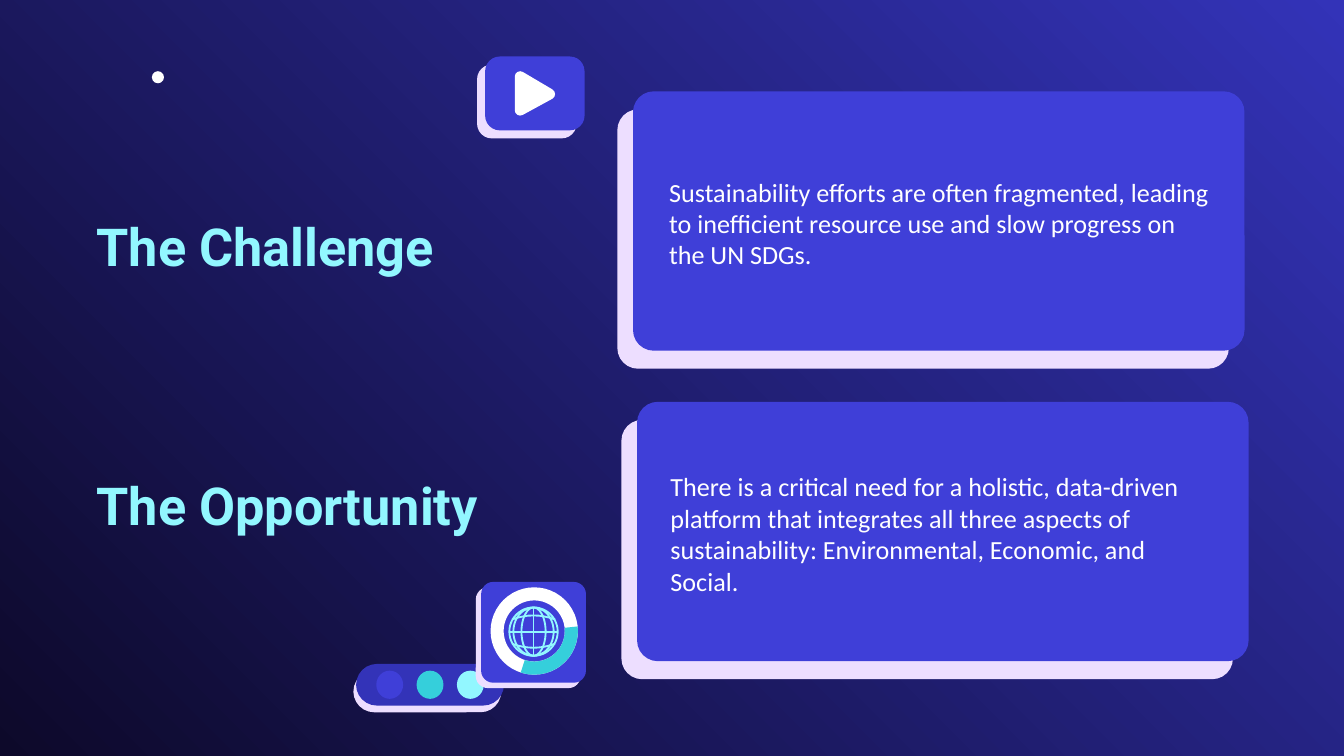
import pptx
import pptx.dml.color
import pptx.enum.shapes
import pptx.enum.text
import pptx.oxml
import pptx.oxml.ns
import pptx.util
from pptx.util import Inches

RGBColor = pptx.dml.color.RGBColor
MSO_SHAPE = pptx.enum.shapes.MSO_SHAPE

NIGHT = RGBColor(0x0D, 0x09, 0x2A)
INDIGO = RGBColor(0x33, 0x33, 0xB8)
VIOLET = RGBColor(0x3F, 0x3F, 0xD8)
LILAC = RGBColor(0xED, 0xDE, 0xFF)
TEAL = RGBColor(0x35, 0xCF, 0xDB)
AQUA = RGBColor(0x92, 0xF7, 0xFF)
WHITE = RGBColor(0xFF, 0xFF, 0xFF)

HEADING = {"name": "Roboto", "size": pptx.util.Pt(28), "bold": True}
BODY = {"name": "Calibri", "size": pptx.util.Pt(14), "bold": False}
FRAME = {
    "word_wrap": True,
    "vertical_anchor": pptx.enum.text.MSO_ANCHOR.MIDDLE,
    "margin_left": Inches(0.1),
    "margin_right": Inches(0.1),
    "margin_top": Inches(0.1),
    "margin_bottom": Inches(0.1),
}


def add_xml(parent, tag, **attributes):
    child = pptx.oxml.parse_xml(f"<a:{tag} {pptx.oxml.ns.nsdecls('a')}/>")
    for key, value in attributes.items():
        child.set(key, str(value))
    parent.append(child)
    return child


class SlideBuilder:
    def __init__(self, slide, stroke):
        self.slide = slide
        self.stroke = stroke

    def background(self, start, end, angle):
        fill = self.slide.background.fill
        fill.gradient()
        fill.gradient_angle = angle
        for stop, color, position in zip(fill.gradient_stops, (start, end), (0, 1)):
            stop.color.rgb = color
            stop.position = position

    def paint(self, shape, fill=None, line=None, width=None):
        shape.shadow.inherit = False
        if fill is None:
            shape.fill.background()
        else:
            shape.fill.solid()
            shape.fill.fore_color.rgb = fill
        if line is None:
            shape.line.fill.background()
        else:
            shape.line.color.rgb = line
            shape.line.width = width or self.stroke

    def shape(self, kind, box, fill=None, line=None, adjustments=()):
        shape = self.slide.shapes.add_shape(kind, *map(Inches, box))
        for index, value in enumerate(adjustments):
            shape.adjustments[index] = value
        self.paint(shape, fill, line)
        return shape

    def card(self, box):
        card = self.shape(MSO_SHAPE.ROUNDED_RECTANGLE, box, VIOLET, adjustments=[0.08])
        effects = card._element.spPr.find(pptx.oxml.ns.qn("a:effectLst"))
        shadow = add_xml(effects, "outerShdw", blurRad=0, dist=pptx.util.Pt(12.8),
                         dir=131 * 60000, algn="bl", rotWithShape=0)
        add_xml(shadow, "srgbClr", val=LILAC)

    def plate(self, box, offset, rounding, fill):
        left, top, width, height = box
        dx, dy = offset
        for place, color in (((left + dx, top + dy, width, height), LILAC), (box, fill)):
            self.shape(MSO_SHAPE.ROUNDED_RECTANGLE, place, color, adjustments=[rounding])

    def outline(self, points, closed, **paint):
        corners = [(Inches(x), Inches(y)) for x, y in points]
        builder = self.slide.shapes.build_freeform(*corners[0])
        builder.add_line_segments(corners[1:], close=closed)
        shape = builder.convert_to_shape()
        self.paint(shape, **paint)
        add_xml(shape.line._get_or_add_ln(), "round")

    def line(self, ends, color):
        line = self.slide.shapes.add_connector(
            pptx.enum.shapes.MSO_CONNECTOR.STRAIGHT, *map(Inches, ends))
        line.line.color.rgb = color
        line.line.width = self.stroke
        add_xml(line._element.spPr, "effectLst")

    def text(self, words, box, style, color):
        frame = self.slide.shapes.add_textbox(*map(Inches, box)).text_frame
        for key, value in FRAME.items():
            setattr(frame, key, value)
        frame.text = words
        font = frame.paragraphs[0].runs[0].font
        for key, value in style.items():
            setattr(font, key, value)
        font.color.rgb = color

    def globe(self, x, y, radius, color):
        for half_width in (radius, 0.15, 0.09):
            self.shape(MSO_SHAPE.OVAL,
                       (x - half_width, y - radius, 2 * half_width, 2 * radius), line=color)
        self.line((x - radius, y, x + radius, y), color)
        self.line((x, y - radius, x, y + radius), color)
        for side in (-1, 1):
            parallel = [(x + 0.04 * step, y + side * (0.12 - 0.03 * (step / 4) ** 2))
                        for step in range(-4, 5)]
            self.outline(parallel, closed=False, line=color)


def main():
    deck = pptx.Presentation()
    deck.slide_width = Inches(10)
    deck.slide_height = deck.slide_width * 9 // 16
    page = SlideBuilder(deck.slides.add_slide(deck.slide_layouts[6]), pptx.util.Pt(1))
    page.background(NIGHT, INDIGO, 45)

    page.card((4.71, 0.68, 4.55, 1.93))
    page.text("The Challenge", (0.62, 1.25, 3.36, 1.15), HEADING, AQUA)
    page.text("Sustainability efforts are often fragmented, leading to inefficient "
              "resource use and slow progress on the UN SDGs.",
              (4.88, 1.01, 4.22, 1.3), BODY, WHITE)
    page.shape(MSO_SHAPE.OVAL, (1.13, 0.53, 0.09, 0.09), WHITE)

    page.plate((2.65, 4.94, 1.1, 0.31), (-0.02, 0.05), 0.5, INDIGO)
    for index, color in enumerate((VIOLET, TEAL, AQUA)):
        page.shape(MSO_SHAPE.OVAL, (2.8 + 0.3 * index, 4.99, 0.2, 0.21), color)

    page.plate((3.58, 4.33, 0.78, 0.75), (-0.04, 0.04), 0.12, VIOLET)
    ring = (3.65, 4.37, 0.65, 0.65)
    thickness = 0.15
    page.shape(MSO_SHAPE.DONUT, ring, WHITE, adjustments=[thickness])
    page.shape(MSO_SHAPE.BLOCK_ARC, ring, TEAL,
               adjustments=[angle * 0.6 for angle in (354, 108)] + [thickness])
    page.globe(3.97, 4.7, 0.18, AQUA)

    page.plate((3.61, 0.42, 0.74, 0.55), (-0.06, 0.06), 0.2, VIOLET)
    page.outline([(3.87, 0.57), (4.09, 0.7), (3.87, 0.82)], closed=True,
                 fill=WHITE, line=WHITE, width=Inches(0.08))

    page.card((4.74, 2.99, 4.55, 1.93))
    page.text("There is a critical need for a holistic, data-driven platform that "
              "integrates all three aspects of sustainability: Environmental, "
              "Economic, and Social.", (4.89, 3.32, 4.22, 1.3), BODY, WHITE)
    page.text("The Opportunity", (0.62, 3.18, 3.74, 1.15), HEADING, AQUA)
    deck.save("out.pptx")


if __name__ == "__main__":
    main()
